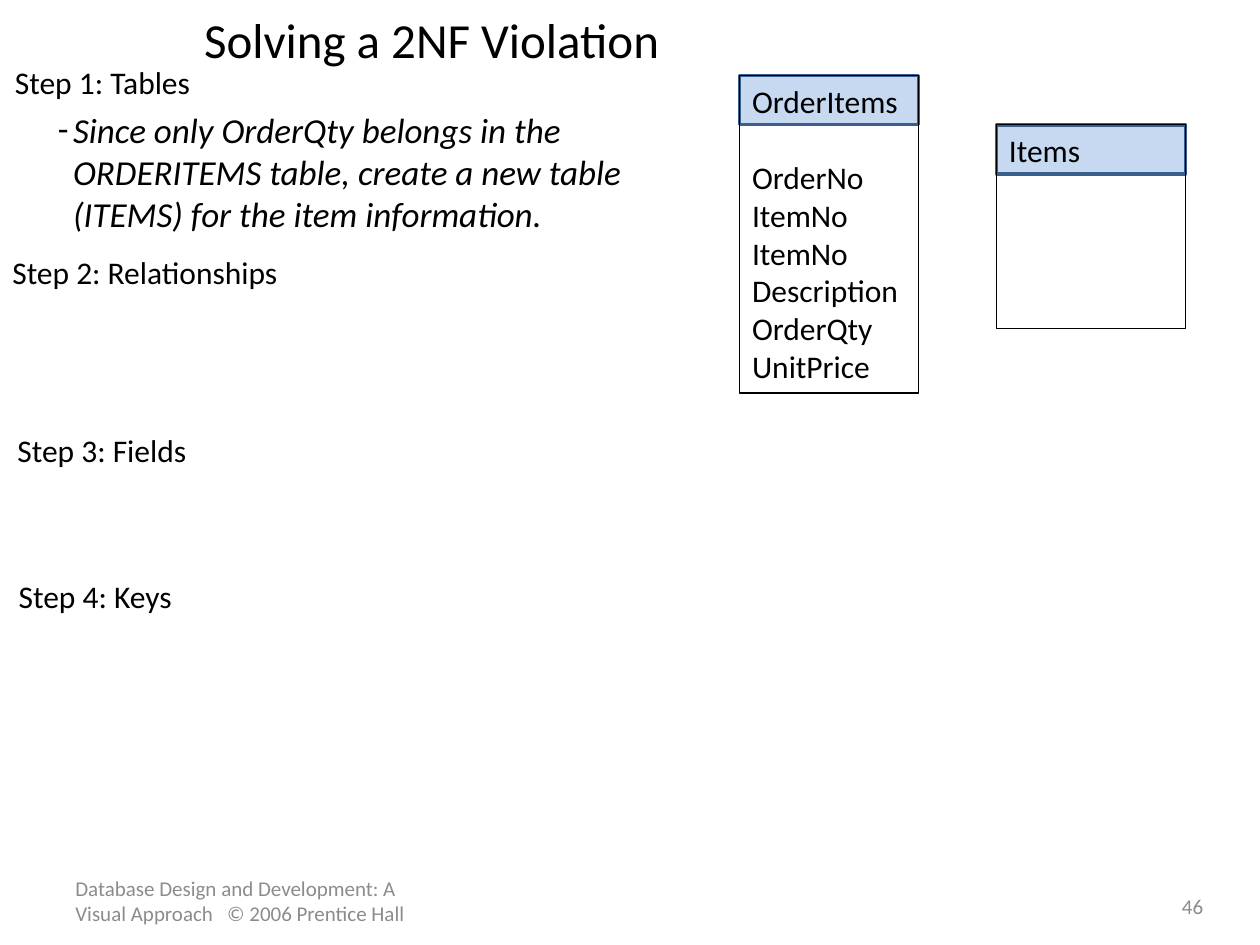
from dataclasses import dataclass

from lxml import etree
from pptx import Presentation
from pptx.dml.color import RGBColor
from pptx.enum.shapes import MSO_SHAPE
from pptx.enum.text import MSO_ANCHOR, MSO_AUTO_SIZE, PP_ALIGN
from pptx.oxml.ns import qn
from pptx.util import Inches, Pt

RECTANGLE = MSO_SHAPE.RECTANGLE
TOP, MIDDLE = MSO_ANCHOR.TOP, MSO_ANCHOR.MIDDLE
LEFT, CENTER = PP_ALIGN.LEFT, PP_ALIGN.CENTER
NO_AUTOFIT = MSO_AUTO_SIZE.NONE


@dataclass(frozen=True)
class Theme:
    """Colours, font and type sizes of the slide."""

    font: str = "Calibri"
    ink: RGBColor = RGBColor(0x00, 0x00, 0x00)
    muted: RGBColor = RGBColor(0x8C, 0x8C, 0x8C)
    header_fill: RGBColor = RGBColor(0xC6, 0xD9, 0xF1)
    header_line: RGBColor = RGBColor(0x3A, 0x5F, 0x8C)
    title_size: int = 28
    note_size: int = 20
    label_size: int = 18
    footer_size: int = 12


THEME = Theme()
STEPS = [
    ("Step 1: Tables", 0.02, 0.45, 1.81),
    ("Step 2: Relationships", 0, 1.96, 2.56),
    ("Step 3: Fields", 0.04, 3.37, 1.73),
    ("Step 4: Keys", 0.05, 4.53, 1.62),
]
NOTE = (
    "Since only OrderQty belongs in the ORDERITEMS table, "
    "create a new table (ITEMS) for the item information."
)
ORDER_FIELDS = ["OrderNo", "ItemNo", "ItemNo", "Description", "OrderQty", "UnitPrice"]
FOOTER = "Database Design and Development: A Visual Approach   © 2006 Prentice Hall"
HEADER_HEIGHT = 0.39


def write(shape, text, size, color=THEME.ink, align=LEFT, anchor=TOP):
    """Fill a shape with text, one paragraph per line."""
    frame = shape.text_frame
    frame.text = text
    frame.word_wrap = True
    frame.auto_size = NO_AUTOFIT
    frame.vertical_anchor = anchor
    for para in frame.paragraphs:
        para.alignment = align
        para.space_before = Pt(0)
        for span in para.runs:
            span.font.name = THEME.font
            span.font.size = Pt(size)
            span.font.color.rgb = color


def place(shape, left, top, width, height):
    """Move and size a placeholder."""
    shape.left, shape.top = Inches(left), Inches(top)
    shape.width, shape.height = Inches(width), Inches(height)


def add_label(page, text, left, top, width, height, size, **style):
    """Add a text box with one styled text."""
    box = page.shapes.add_textbox(
        Inches(left), Inches(top), Inches(width), Inches(height)
    )
    write(box, text, size, **style)


def add_title(page, text):
    """Set the slide title."""
    title = page.shapes.title
    place(title, 0.51, 0.02, 5.83, 0.58)
    write(title, text, THEME.title_size, align=CENTER, anchor=MIDDLE)


def add_note(page, text):
    """Set the body as a single dashed italic item."""
    body = page.placeholders[1]
    place(body, 0.36, 0.81, 4.72, 1.11)
    write(body, text, THEME.note_size)
    para = body.text_frame.paragraphs[0]
    para.runs[0].font.italic = True
    properties = para._p.get_or_add_pPr()
    properties.set("marL", str(Inches(0.12)))
    properties.set("indent", str(Inches(-0.12)))
    etree.SubElement(properties, qn("a:buFont"), typeface=THEME.font)
    etree.SubElement(properties, qn("a:buChar"), char="-")


def add_rectangle(group, left, top, width, height, line_color, line_width):
    """Add an unfilled outlined rectangle to a group."""
    box = group.shapes.add_shape(
        RECTANGLE, Inches(left), Inches(top), Inches(width), Inches(height)
    )
    box.shadow.inherit = False
    box.fill.background()
    box.line.color.rgb = line_color
    box.line.width = Pt(line_width)
    return box


def add_entity(page, name, fields, left, top, width, height):
    """Add a database table as a header band and a framed field list."""
    group = page.shapes.add_group_shape()
    header = add_rectangle(
        group, left, top, width, HEADER_HEIGHT, THEME.header_line, 2
    )
    header.fill.solid()
    header.fill.fore_color.rgb = THEME.header_fill
    frame = add_rectangle(group, left, top, width, height, THEME.ink, 0.75)
    write(frame, "\n".join([name, *fields]), THEME.label_size)
    if fields:
        frame.text_frame.paragraphs[1].space_before = Pt(22)


def main():
    """Build the slide and save it."""
    deck = Presentation()
    deck.slide_width, deck.slide_height = Inches(10), Inches(7.5)
    page = deck.slides.add_slide(deck.slide_layouts[1])
    add_title(page, "Solving a 2NF Violation")
    add_note(page, NOTE)
    for text, left, top, width in STEPS:
        add_label(page, text, left, top, width, 0.4, THEME.label_size)
    add_entity(page, "OrderItems", ORDER_FIELDS, 5.87, 0.6, 1.42, 2.52)
    add_entity(page, "Items", [], 7.91, 0.99, 1.5, 1.62)
    footer_style = {"size": THEME.footer_size, "color": THEME.muted, "anchor": MIDDLE}
    add_label(page, FOOTER, 0.5, 6.95, 2.94, 0.4, **footer_style)
    add_label(page, "46", 9.17, 7.03, 0.59, 0.32, align=CENTER, **footer_style)
    deck.save("out.pptx")


if __name__ == "__main__":
    main()
